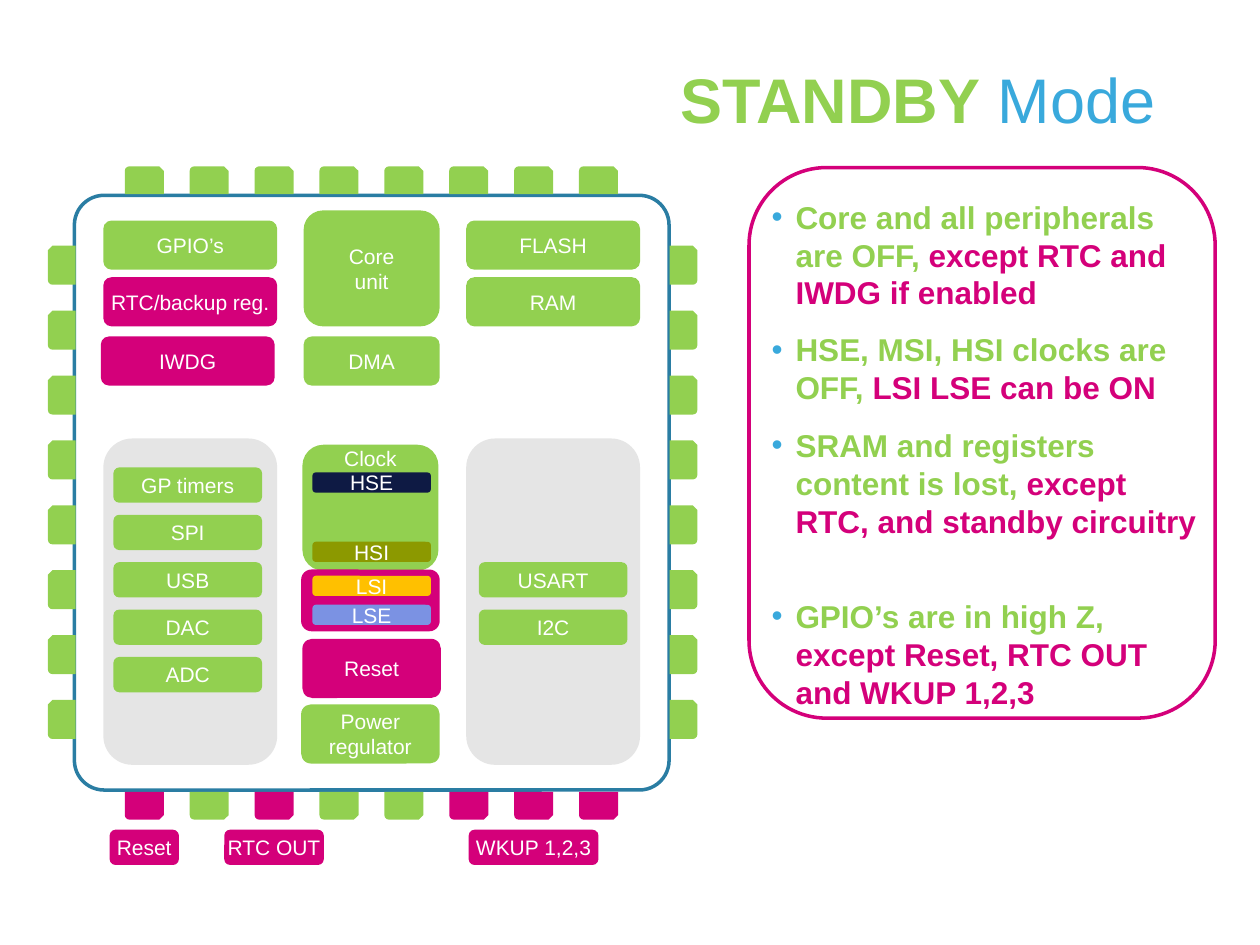
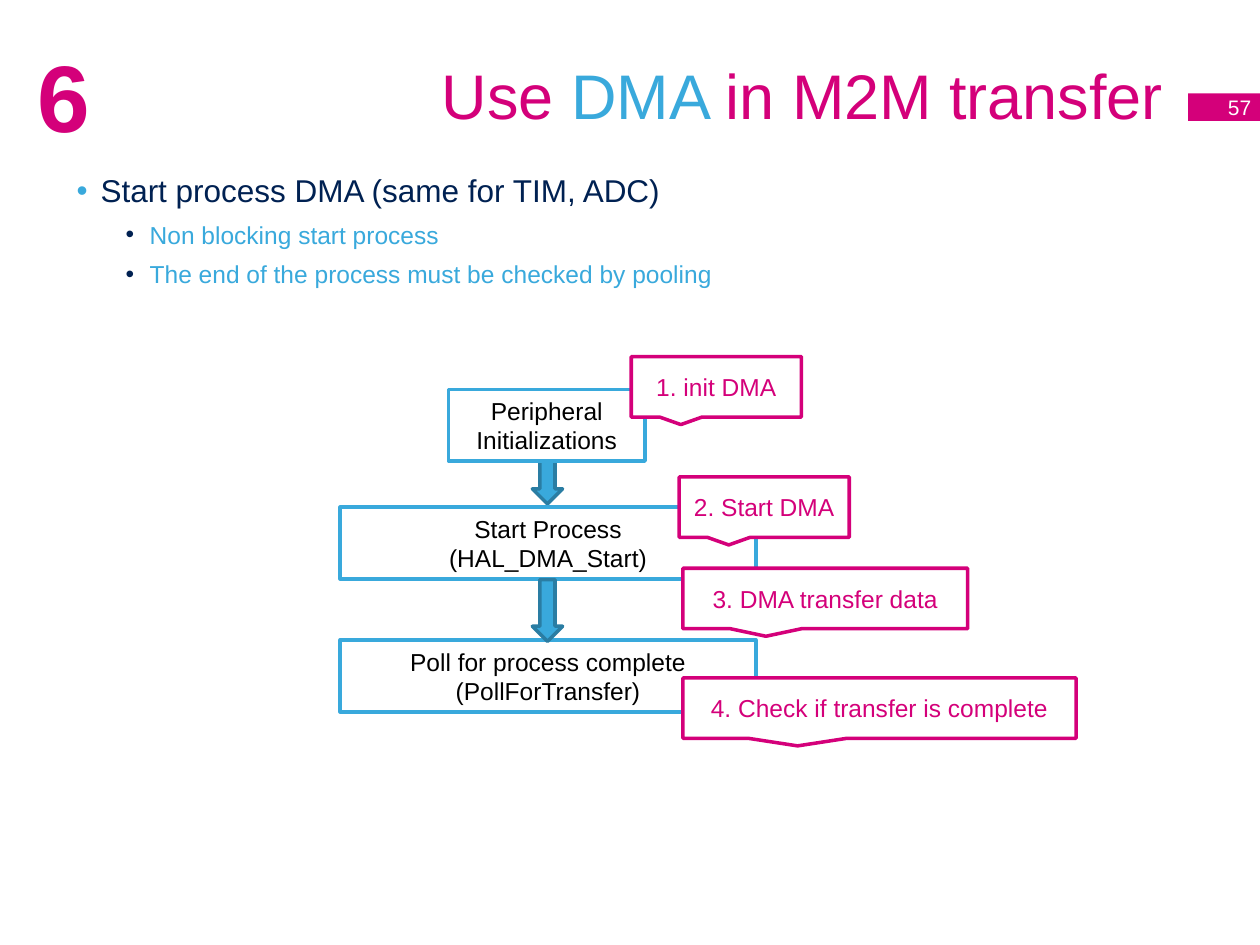
"""Build two microcontroller slides: standby mode and DMA memory transfer."""
import pptx
import pptx.dml.color
import pptx.enum.shapes
import pptx.enum.text
import pptx.oxml
import pptx.oxml.ns
import pptx.util

CELL = pptx.util.Inches(0.1)
COLUMNS, ROWS = 100, 75
FONT = "Arial"
GREEN, PINK, BLUE, DARK_BLUE = "92D050", "D4007A", "39A9DC", "2A7DA3"
NAVY, GREY, WHITE, BLACK = "002152", "E5E5E5", "FFFFFF", "000000"
SHAPES = pptx.enum.shapes.MSO_SHAPE
ALIGN = pptx.enum.text.PP_ALIGN
ANCHOR = pptx.enum.text.MSO_ANCHOR
PINS_PER_SIDE, PIN_PITCH = 8, 5.15
PIN_LENGTH, PIN_DEPTH = 3.1, 2.2


def rgb(color):
    """Return the colour object for a hex string."""
    return pptx.dml.color.RGBColor.from_string(color)


def cells(*lengths):
    """Turn grid cells into slide lengths."""
    return [round(length * CELL) for length in lengths]


def add_bullet(paragraph, color, margin):
    """Give a paragraph a hanging coloured bullet."""
    properties = paragraph._p.get_or_add_pPr()
    text_start, hang = cells(margin, 1.9)
    properties.set("marL", str(text_start))
    properties.set("indent", str(-hang))
    namespace = pptx.oxml.ns.nsdecls("a")
    for xml in (
        f'<a:buClr {namespace}><a:srgbClr val="{color}"/></a:buClr>',
        f'<a:buFont {namespace} typeface="{FONT}"/>',
        f'<a:buChar {namespace} char="•"/>',
    ):
        properties.append(pptx.oxml.parse_xml(xml))


def write_paragraph(paragraph, runs, size=12, color=WHITE, bold=False,
                    align=ALIGN.LEFT, bullet=None, margin=1.9, level=0,
                    before=0, after=0):
    """Write runs, each a string or a (text, format) pair, in one paragraph."""
    if bullet:
        add_bullet(paragraph, bullet, margin)
    paragraph.level = level
    paragraph.alignment = align
    paragraph.space_before = pptx.util.Pt(before)
    paragraph.space_after = pptx.util.Pt(after)
    for item in [runs] if isinstance(runs, str) else runs:
        text, own = (item, {}) if isinstance(item, str) else item
        run = paragraph.add_run()
        run.text = text
        run.font.name = FONT
        run.font.size = pptx.util.Pt(size)
        run.font.bold = own.get("bold", bold)
        run.font.color.rgb = rgb(own.get("color", color))


def write(frame, paragraphs, anchor=ANCHOR.MIDDLE, insets=(1, 0.5), wrap=True,
          **style):
    """Fill a text frame; each paragraph is a (runs, format) pair."""
    frame.word_wrap = wrap
    frame.vertical_anchor = anchor
    frame.margin_left = frame.margin_right = cells(insets[0])[0]
    frame.margin_top = frame.margin_bottom = cells(insets[1])[0]
    for index, (runs, own) in enumerate(paragraphs):
        paragraph = frame.add_paragraph() if index else frame.paragraphs[0]
        write_paragraph(paragraph, runs, **{**style, **own})


def add_text(slide, place, paragraphs, **style):
    """Add a text box at a grid place."""
    write(slide.shapes.add_textbox(*cells(*place)).text_frame, paragraphs, **style)


def add_box(slide, place, kind=SHAPES.ROUNDED_RECTANGLE, fill=None, line=None):
    """Add a flat shape at a grid place."""
    box = slide.shapes.add_shape(kind, *cells(*place))
    box.shadow.inherit = False
    if fill:
        box.fill.solid()
        box.fill.fore_color.rgb = rgb(fill)
    else:
        box.fill.background()
    if line:
        box.line.color.rgb = rgb(line)
        box.line.width = pptx.util.Pt(2)
    else:
        box.line.fill.background()
    return box


def add_block(slide, place, label, fill=GREEN):
    """Add a labelled chip block, one paragraph for each line of the label."""
    lines = [(line, {}) for line in label.split("\n")]
    write(add_box(slide, place, fill=fill).text_frame, lines, insets=(0, 0),
          align=ALIGN.CENTER)


def add_step(slide, place, label, kind, line, color):
    """Add an outlined step or callout of the process."""
    step = add_box(slide, place, kind, fill=WHITE, line=line)
    lines = [(text, {}) for text in label.split("\n")]
    write(step.text_frame, lines, size=14, color=color, align=ALIGN.CENTER)


def add_title(slide, place, runs, **style):
    """Add the right-aligned slide title."""
    add_text(slide, place, [(runs, {})], size=36, align=ALIGN.RIGHT, **style)


def add_pin(slide, left, top, rotation, flipped, fill):
    """Add one chip pin, turned to face outwards."""
    pin = add_box(slide, (left, top, PIN_LENGTH, PIN_DEPTH),
                  SHAPES.SNIP_ROUND_RECTANGLE, fill=fill)
    pin.rotation = rotation
    if flipped:
        frame = pin._element.spPr.find(pptx.oxml.ns.qn("a:xfrm"))
        frame.set("flipH", "1")


def add_pins(slide):
    """Add the pins on all four sides of the chip."""
    awake_pins = {0, 2, 5, 6, 7}
    for index in range(PINS_PER_SIDE):
        left = 9.9 + index * PIN_PITCH
        top = 19.95 + index * PIN_PITCH
        add_pin(slide, 3.35, top, 270, False, GREEN)
        add_pin(slide, 52.7, top, 90, True, GREEN)
        add_pin(slide, left, 13.2, 0, False, GREEN)
        add_pin(slide, left, 62.85, 180, True,
                PINK if index in awake_pins else GREEN)


def add_chip(slide):
    """Draw the chip with its blocks, clocks, peripherals and pins."""
    add_box(slide, (24, 35.3, 10.8, 10), fill=GREEN)
    add_text(slide, (24, 35.4, 10.8, 2), [("Clock", {})], insets=(0, 0),
             align=ALIGN.CENTER)
    add_box(slide, (23.9, 45.2, 11, 4.9), fill=PINK)
    for left in (8.2, 37):
        add_box(slide, (left, 34.8, 13.8, 25.9), fill=GREY)
    outline = add_box(slide, (5.9, 15.5, 47.2, 47.2), line=DARK_BLUE)
    outline.adjustments[0] = 0.05

    for left, top, label, fill in (
        (8.2, 17.5, "GPIO’s", GREEN), (8.2, 22, "RTC/backup reg.", PINK),
        (8, 26.7, "IWDG", PINK),
        (37, 17.5, "FLASH", GREEN), (37, 22, "RAM", GREEN),
    ):
        add_block(slide, (left, top, 13.8, 3.9), label, fill)

    add_block(slide, (24.1, 16.7, 10.8, 9.2), "Core\nunit")
    add_block(slide, (24.1, 26.7, 10.8, 3.9), "DMA")
    add_block(slide, (24, 50.7, 11, 4.7), "Reset", PINK)
    add_block(slide, (23.9, 55.9, 11, 4.7), "Power regulator")

    for top, label, fill in ((37.5, "HSE", "0E1A44"), (43, "HSI", "8C9900"),
                             (45.7, "LSI", "FFC000"), (48, "LSE", "7B92E3")):
        add_block(slide, (24.8, top, 9.4, 1.6), label, fill)

    peripheral_pitch = 3.76
    for left, first_row, labels in (
        (9, 0, ("GP timers", "SPI", "USB", "DAC", "ADC")),
        (38, 2, ("USART", "I2C")),
    ):
        for row, label in enumerate(labels, first_row):
            top = 37.1 + row * peripheral_pitch
            add_block(slide, (left, top, 11.8, 2.8), label)

    add_pins(slide)
    for left, width, label in ((8.7, 5.5, "Reset"), (17.8, 7.9, "RTC OUT"),
                               (37.2, 10.3, "WKUP 1,2,3")):
        add_block(slide, (left, 65.85, width, 2.8), label, PINK)


def build_standby(slide):
    """Build the standby mode slide."""
    add_title(slide, (0, 4.4, 92.5, 12.5),
              [("STANDBY", {"color": GREEN, "bold": True}), " Mode"],
              color=BLUE, anchor=ANCHOR.TOP, insets=(0.8, 0.4))
    add_chip(slide)
    rules = (
        ("Core and all peripherals are OFF, ", "except RTC and IWDG if enabled", 0),
        ("HSE, MSI, HSI clocks are OFF, ", "LSI LSE can be ON", 5),
        ("SRAM and registers content is lost, ",
         "except RTC, and standby circuitry", 5.4),
        ("GPIO’s are in high Z, ", "except Reset, RTC OUT and WKUP 1,2,3", 27),
    )
    add_text(slide, (60.25, 15.2, 36.2, 49.1),
             [([off, (kept, {"color": PINK})], {"before": gap})
              for off, kept, gap in rules],
             anchor=ANCHOR.TOP, size=18, color=GREEN, bold=True, bullet=BLUE,
             after=6)
    add_box(slide, (59.45, 13.3, 37, 43.7), line=PINK)


def build_transfer(slide):
    """Build the DMA transfer slide."""
    add_title(slide, (5, 1.25, 88.3, 12.5),
              ["Use", (" DMA ", {"color": BLUE}), "in M2M transfer"], color=PINK)
    detail = {"size": 14, "color": BLUE, "bullet": NAVY, "margin": 5.8, "level": 1}
    add_text(slide, (5.1, 13.1, 90, 13.6),
             [("Start process DMA (same for TIM, ADC)", {}),
              ("Non blocking start process", detail),
              ("The end of the process must be checked by pooling", detail)],
             anchor=ANCHOR.TOP, size=18, color=NAVY, bullet=BLUE, after=6)
    page_band = add_box(slide, (94.3, 7.4, 6, 2.2), SHAPES.RECTANGLE, fill=PINK)
    write(page_band.text_frame, [("57", {})], wrap=False, align=ALIGN.RIGHT)
    add_text(slide, (2, 1.3, 8.1, 12.5), [("6", {})], size=54, color=PINK, bold=True)

    def add_arrow(top, height):
        """Add an arrow between two steps."""
        add_box(slide, (42.25, top, 2.4, height), SHAPES.DOWN_ARROW,
                fill=BLUE, line=DARK_BLUE)

    add_arrow(36.6, 3.4)
    for left, top, width, label in (
        (35.6, 30.9, 15.6, "Peripheral Initializations"),
        (27, 40.25, 33, "Start Process\n(HAL_DMA_Start)"),
        (27, 50.8, 33, "Poll for process complete\n(PollForTransfer)"),
    ):
        add_step(slide, (left, top, width, 5.7), label, SHAPES.RECTANGLE, BLUE, BLACK)
    add_arrow(46, 4.9)
    for left, top, width, label in (
        (50.1, 28.3, 13.5, "1. init DMA"),
        (53.9, 37.85, 13.5, "2. Start DMA"),
        (54.2, 45.1, 22.6, "3. DMA transfer data"),
        (54.2, 53.8, 31.2, "4. Check if transfer is complete"),
    ):
        add_step(slide, (left, top, width, 4.8), label,
                 SHAPES.RECTANGULAR_CALLOUT, PINK, PINK)


def main():
    """Build and save the presentation."""
    deck = pptx.Presentation()
    deck.slide_width, deck.slide_height = cells(COLUMNS, ROWS)
    blank = deck.slide_layouts[6]
    for build in (build_standby, build_transfer):
        build(deck.slides.add_slide(blank))
    deck.save("out.pptx")


if __name__ == "__main__":
    main()
